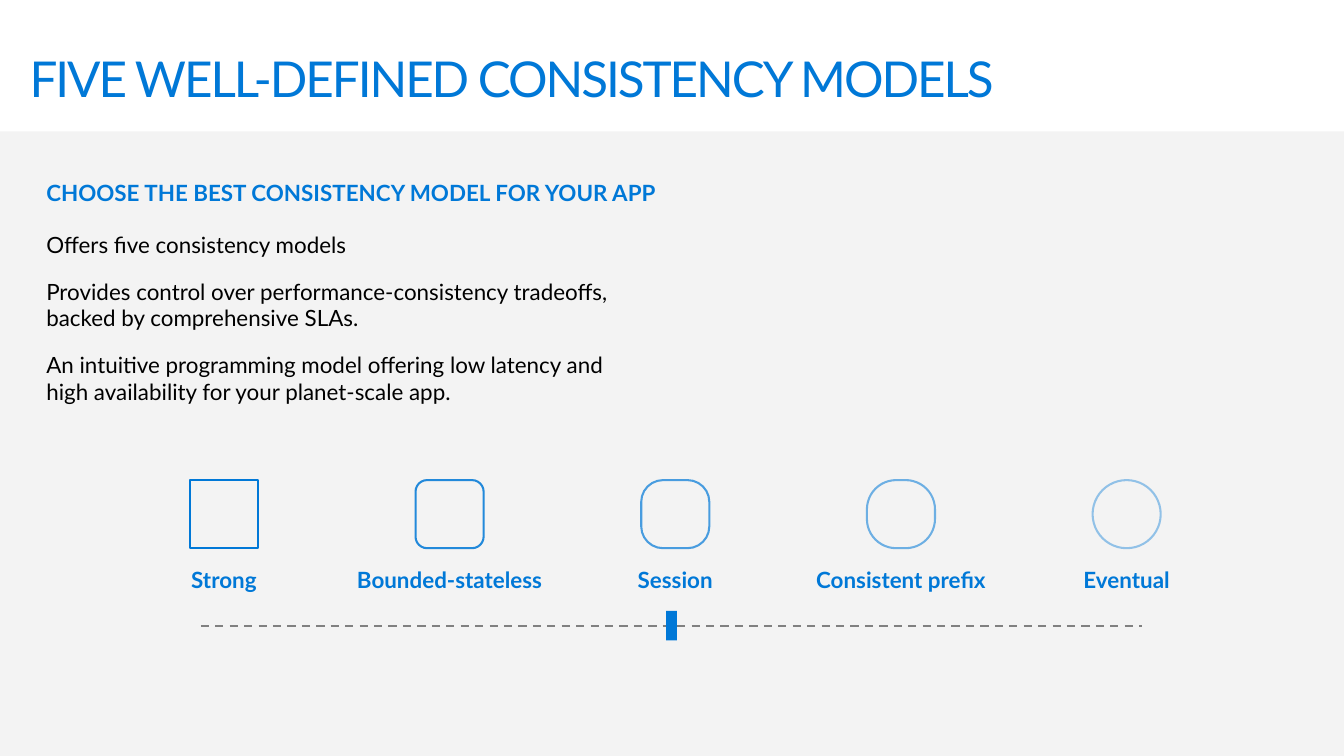
from lxml.etree import SubElement
from pptx import Presentation
from pptx.dml.color import RGBColor
from pptx.enum.dml import MSO_LINE
from pptx.enum.shapes import MSO_CONNECTOR, MSO_SHAPE
from pptx.enum.text import PP_ALIGN
from pptx.oxml.ns import qn
from pptx.util import Cm, Pt

COLORS = {
    "blue": "0078D7",
    "panel": "F2F2F2",
    "icon": "F3F3F3",
    "grey": "808080",
    "black": "000000",
}

TITLE = {
    "color": "blue",
    "space": -150,
    "frame": {"margin_left": 0, "margin_right": 0, "margin_top": Cm(0.46), "margin_bottom": 0},
    "para": {"line_spacing": 0.9},
    "font": {"size": Pt(36)},
}
HEAD = {"color": "blue", "font": {"size": Pt(16.3), "bold": True}}
BODY = {"color": "black", "gap": Pt(14.3), "font": {"size": Pt(16.3)}}
LABEL = {
    **HEAD,
    "frame": {"margin_left": 0, "margin_right": 0},
    "para": {"alignment": PP_ALIGN.CENTER},
}

MODELS = [
    ("Strong", MSO_SHAPE.RECTANGLE, None, 100),
    ("Bounded-stateless", MSO_SHAPE.ROUNDED_RECTANGLE, 0.17, 85),
    ("Session", MSO_SHAPE.ROUNDED_RECTANGLE, 0.32, 70),
    ("Consistent prefix", MSO_SHAPE.ROUNDED_RECTANGLE, 0.43, 55),
    ("Eventual", MSO_SHAPE.OVAL, None, 40),
]

POINTS = [
    "Offers five consistency models",
    "Provides control over performance-consistency tradeoffs, backed by comprehensive SLAs.",
    "An intuitive programming model offering low latency and high availability for your planet-scale app.",
]


def shade(name):
    return RGBColor.from_string(COLORS[name])


def apply(target, values):
    for key, value in values.items():
        setattr(target, key, value)


def fade(shape, percent):
    color = list(shape._element.iter(qn("a:srgbClr")))[-1]
    SubElement(color, qn("a:alpha"), val=str(percent * 1000))


def add_form(slide, kind, box, fill, edge=None):
    shape = slide.shapes.add_shape(kind, *map(Cm, box))
    shape.shadow.inherit = False
    shape.fill.solid()
    shape.fill.fore_color.rgb = shade(fill)
    if edge:
        shape.line.color.rgb = shade(edge)
        shape.line.width = Pt(1.5)
    else:
        shape.line.fill.background()
    return shape


def add_text(slide, box, lines, style):
    frame = slide.shapes.add_textbox(*map(Cm, box)).text_frame
    apply(frame, {"word_wrap": True, **style.get("frame", {})})
    for index, line in enumerate(lines):
        para = frame.paragraphs[0] if index == 0 else frame.add_paragraph()
        apply(para, style.get("para", {}))
        if index and "gap" in style:
            para.space_before = style["gap"]
        run = para.add_run()
        run.text = line
        apply(run.font, {"name": "Lato", **style["font"]})
        run.font.color.rgb = shade(style["color"])
        if "space" in style:
            run._r.get_or_add_rPr().set("spc", str(style["space"]))


def add_model(slide, index, model):
    name, kind, curve, percent = model
    left, side, width = 4.88 + 5.8 * index, 1.75, 5.4
    icon = add_form(slide, kind, (left, 12.34, side, side), "icon", "blue")
    if curve:
        icon.adjustments[0] = curve
    if percent < 100:
        fade(icon, percent)
    add_text(slide, (left + (side - width) / 2, 14.43, width, 0.97), [name], LABEL)


def add_scale(slide):
    start, end, level = 5.16, 29.36, 16.08
    line = slide.shapes.add_connector(
        MSO_CONNECTOR.STRAIGHT, Cm(start), Cm(level), Cm(end), Cm(level)
    )
    line.line.color.rgb = shade("grey")
    apply(line.line, {"width": Pt(1.5), "dash_style": MSO_LINE.DASH})
    SubElement(line._element.spPr, qn("a:effectLst"))
    width, height = 0.28, 0.76
    middle = (start + end) / 2
    box = (middle - width / 2, level - height / 2, width, height)
    add_form(slide, MSO_SHAPE.RECTANGLE, box, "blue")


def main():
    deck = Presentation()
    apply(deck, {"slide_width": Cm(34.54), "slide_height": Cm(19.43)})
    slide = deck.slides.add_slide(deck.slide_layouts[6])
    panel = add_form(slide, MSO_SHAPE.RECTANGLE, (0, 3.38, 34.54, 16.05), "panel")
    fade(panel, 89)
    for index, model in enumerate(MODELS):
        add_model(slide, index, model)
    add_scale(slide)
    add_text(slide, (0.76, 0.94, 33.02, 2.54), ["FIVE WELL-DEFINED CONSISTENCY MODELS"], TITLE)
    add_text(
        slide, (0.94, 4.47, 33.02, 2.1), ["CHOOSE THE BEST CONSISTENCY MODEL FOR YOUR APP"], HEAD
    )
    add_text(slide, (0.94, 5.82, 15.93, 6.17), POINTS, BODY)
    deck.save("out.pptx")


if __name__ == "__main__":
    main()
